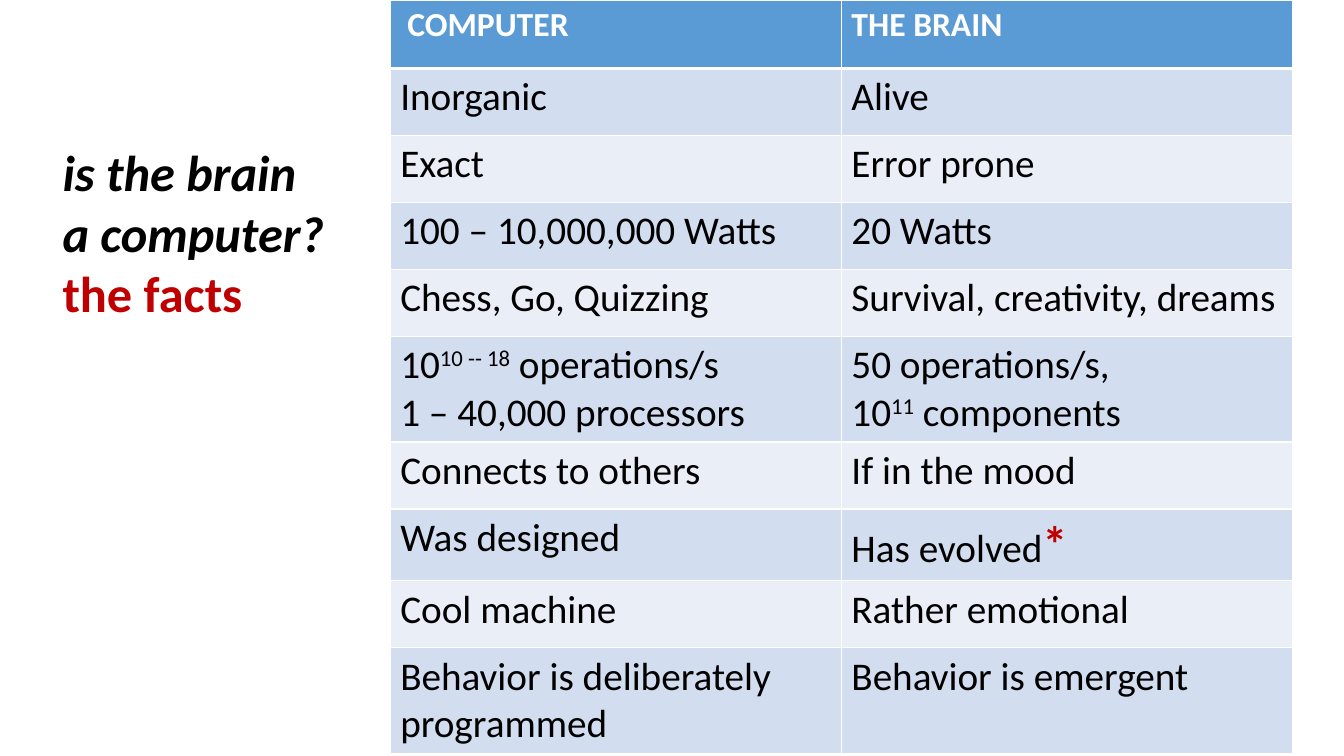
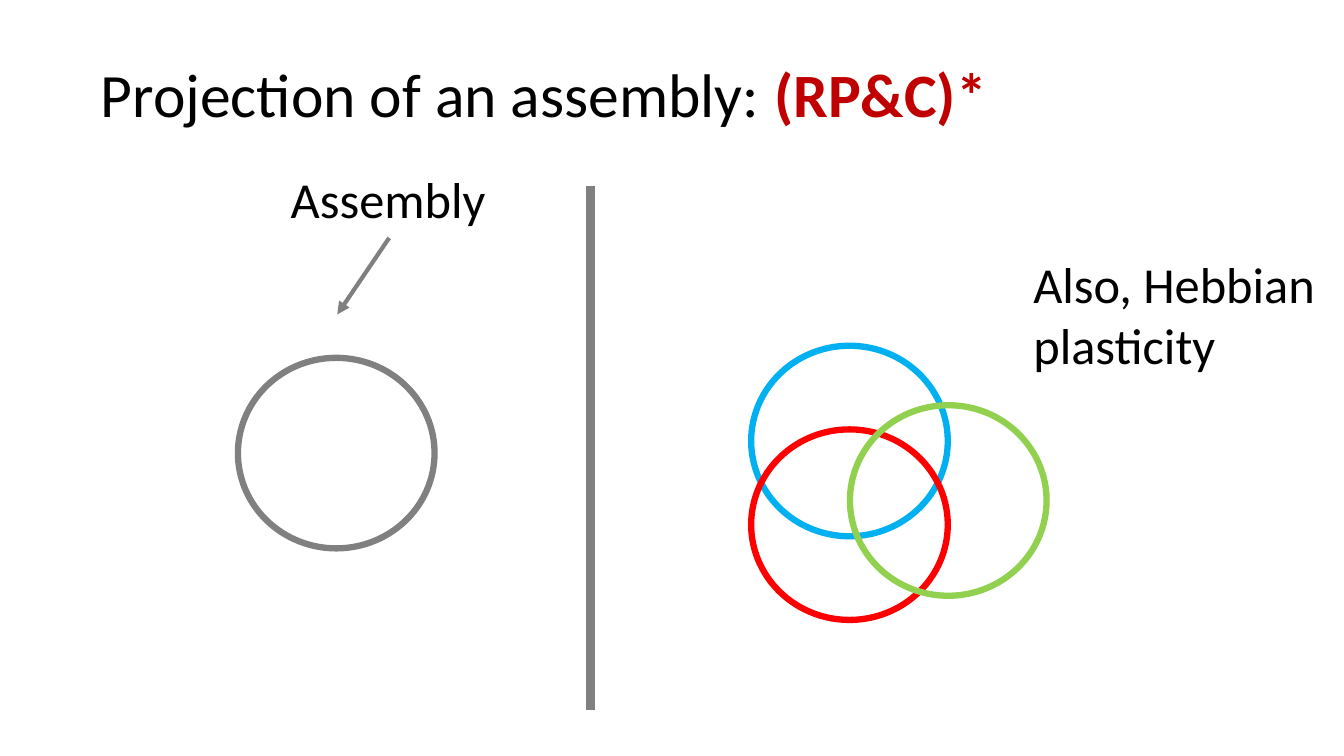
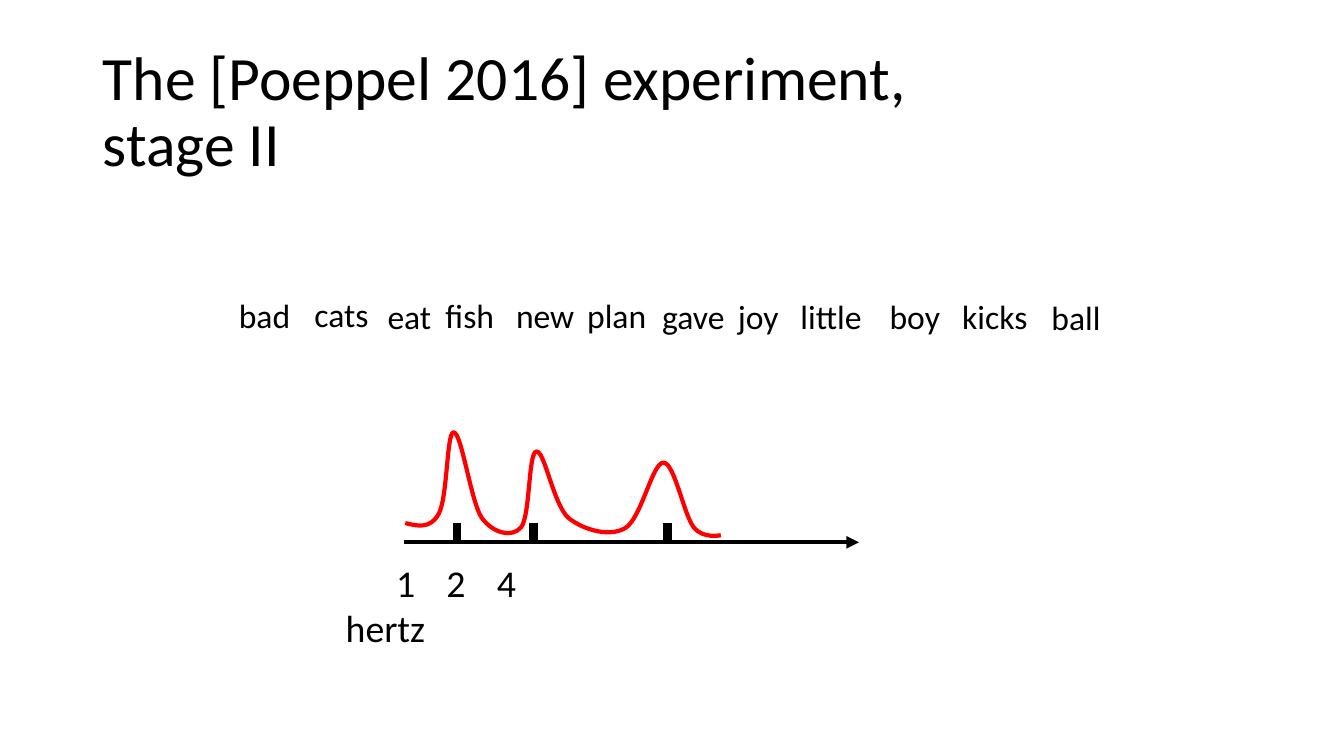
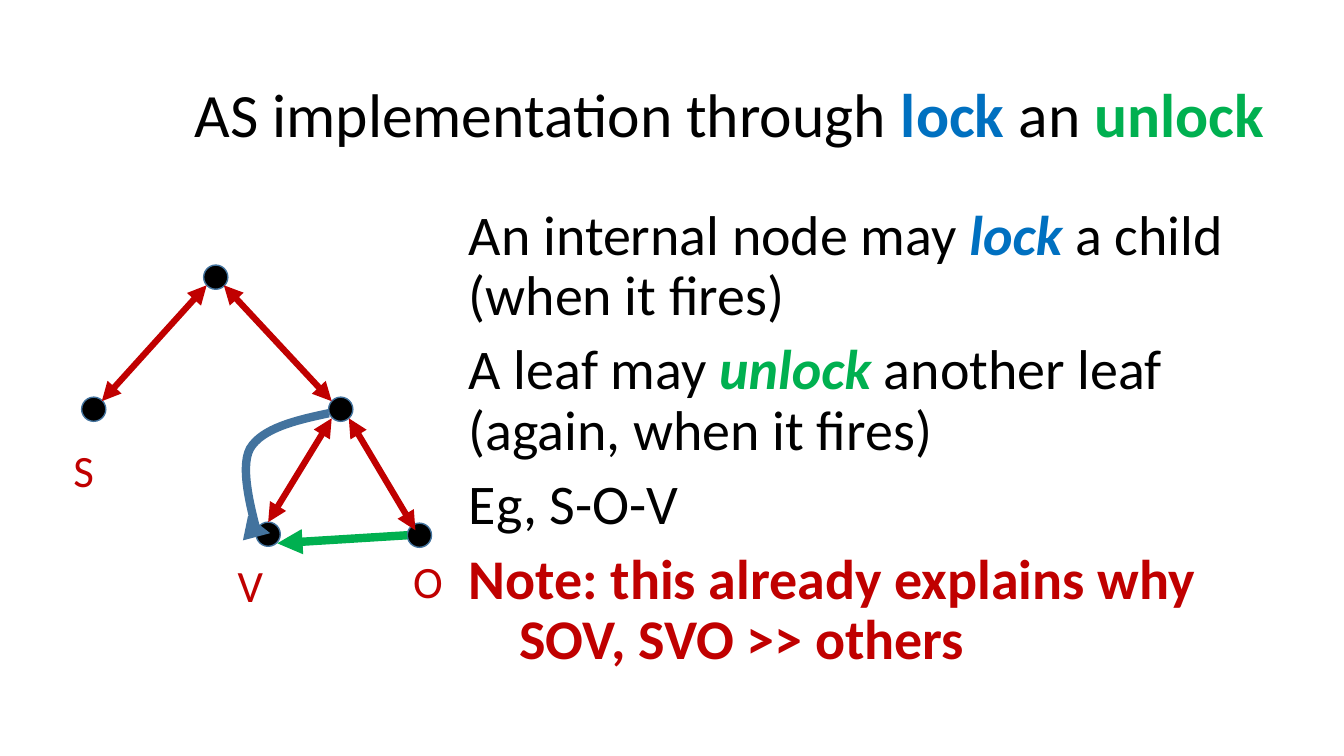
import itertools

import lxml.etree
import pptx
import pptx.dml.color
import pptx.enum.shapes
import pptx.enum.text
import pptx.oxml.ns
import pptx.util

deck = pptx.Presentation()
deck.slide_width = pptx.util.Inches(13.33)
deck.slide_height = pptx.util.Inches(7.5)

# Shared style: a square grid with 75 rows to the slide, one font, named colours
UNIT = deck.slide_height / 75
FONT = "Calibri"
BLACK, WHITE, GRAY = "000000", "FFFFFF", "808080"
CRIMSON, RED, BLUE, GREEN = "C00000", "FF0000", "0070C0", "00B050"
SKY, LIME, STEEL = "00B0F0", "92D050", "43739E"
HEADER, BANDS = "5B9BD5", ("EAEFF7", "D2DEEF")
rgb = pptx.dml.color.RGBColor.from_string
qn = pptx.oxml.ns.qn


def grid(*cells):
    """Turn grid columns and rows into slide lengths."""
    return [pptx.util.Emu(round(cell * UNIT)) for cell in cells]


def write(frame, paragraphs, size, color=BLACK, spacing=1.0, gap=0):
    """Fill a frame; a span is (text, colour, marks), marks being b, i or ^."""
    for index, spans in enumerate(paragraphs):
        para = frame.add_paragraph() if index else frame.paragraphs[0]
        if isinstance(spans, str):
            spans = [(spans, color, "")]
        para.text = spans[0][0]
        for text, _, _ in spans[1:]:
            para.add_run().text = text
        para.alignment = pptx.enum.text.PP_ALIGN.LEFT
        para.line_spacing = spacing
        para.space_before = pptx.util.Pt(gap if index else 0)
        for run, (_, tint, marks) in zip(para.runs, itertools.cycle(spans)):
            run.font.name = FONT
            run.font.size = pptx.util.Pt(36 if run.text == "*" else size)
            run.font.color.rgb = rgb(tint)
            run.font.bold = "b" in marks
            run.font.italic = "i" in marks
            if "^" in marks:
                run.font._element.set("baseline", "30000")


# Pages and titles: layout, box, size, line spacing, paragraphs
TITLE_AND_BODY, TITLE_ONLY = deck.slide_layouts[1], deck.slide_layouts[5]
titles = [
    (TITLE_ONLY, (5.2, 13.45, 30, 19.2), 36, 1.0, [
        [("is the brain", BLACK, "bi")],
        [("a computer?", BLACK, "bi")],
        [("the facts", CRIMSON, "b")]]),
    (TITLE_ONLY, (9, 2.4, 115, 14.5), 44, 0.9, [
        [("Projection of an assembly: ", BLACK, ""), ("(RP&C)*", CRIMSON, "b")]]),
    (TITLE_ONLY, (9.2, 4, 115, 14.5), 44, 0.9,
     ["The [Poeppel 2016] experiment, \vstage II"]),
    (TITLE_AND_BODY, (18.3, 4.4, 115, 14.5), 44, 0.9, [
        [("AS implementation through ", BLACK, ""), ("lock ", BLUE, "b"),
         ("an ", BLACK, ""), ("unlock", GREEN, "b")]]),
]
pages = []
for layout, box, size, spacing, paragraphs in titles:
    page = deck.slides.add_slide(layout)
    title = page.shapes.title
    title.left, title.top, title.width, title.height = grid(*box)
    title.text_frame.auto_size = pptx.enum.text.MSO_AUTO_SIZE.NONE
    title.text_frame.vertical_anchor = pptx.enum.text.MSO_ANCHOR.MIDDLE
    write(title.text_frame, paragraphs, size, spacing=spacing)
    pages.append(page)
facts, projection, experiment, tree = pages

# Comparison table
rows = [
    (["COMPUTER"], ["THE BRAIN"]),
    (["Inorganic"], ["Alive"]),
    (["Exact"], ["Error prone"]),
    (["100 – 10,000,000 Watts"], ["20 Watts"]),
    (["Chess, Go, Quizzing"], ["Survival, creativity, dreams"]),
    ([[("10", BLACK, ""), ("10 -- 18", BLACK, "^"), (" operations/s", BLACK, "")],
      "1 – 40,000 processors"],
     ["50 operations/s,",
      [("10", BLACK, ""), ("11", BLACK, "^"), (" components", BLACK, "")]]),
    (["Connects to others"], ["If in the mood"]),
    (["Was designed"], [[("Has evolved", BLACK, ""), ("*", CRIMSON, "b")]]),
    (["Cool machine"], ["Rather emotional"]),
    (["Behavior is deliberately programmed"], ["Behavior is emergent"]),
]
table = facts.shapes.add_table(len(rows), 2, *grid(38.7, 0, 89.5, 66.6)).table
for column in table.columns:
    column.width, = grid(44.75)
for index, row in enumerate(rows):
    table.rows[index].height, = grid(6.64 if index else 6.8)
    for cell, paragraphs in zip(table.rows[index].cells, row):
        if index:
            write(cell.text_frame, paragraphs, 28)
        else:
            write(cell.text_frame, [[(paragraphs[0], WHITE, "b")]], 24)
        properties = cell._tc.get_or_add_tcPr()
        for side in ("lnL", "lnR", "lnT", "lnB"):
            thick = (side, index) in (("lnB", 0), ("lnT", 1))
            border = lxml.etree.SubElement(
                properties, qn("a:" + side), w=str(pptx.util.Pt(3 if thick else 1)))
            paint = lxml.etree.SubElement(border, qn("a:solidFill"))
            lxml.etree.SubElement(paint, qn("a:srgbClr"), val=WHITE)
        cell.fill.solid()
        cell.fill.fore_color.rgb = rgb(BANDS[index % 2] if index else HEADER)
table.cell(0, 0).margin_left, = grid(1.7)

# Short labels: page, text, left, top, width, height, size, colour
labels = [
    (projection, ["Also, Hebbian", "plasticity"], 101.5, 24.65, 30.2, 13.1, 36, BLACK),
    (projection, ["Assembly"], 27.85, 16.2, 21.5, 7.1, 36, BLACK),
    (tree, ["S"], 6.3, 43.45, 4.1, 6.4, 32, CRIMSON),
    (tree, ["V"], 22.6, 54.8, 4.6, 6.4, 32, CRIMSON),
    (tree, ["O"], 40, 54.45, 5, 6.4, 32, CRIMSON),
]
words = [
    ("bad", 22.7, 28.8, 7.5), ("cats", 30.2, 28.7, 7.6), ("eat", 37.45, 28.85, 6.5),
    ("fish", 43.2, 28.8, 6.9), ("new", 50.2, 28.8, 8), ("plan", 57.25, 28.8, 7.9),
    ("gave", 64.7, 28.9, 8.6), ("joy", 72.2, 28.9, 6.1), ("little", 78.4, 28.9, 8.2),
    ("boy", 87.25, 28.9, 7.3), ("kicks", 94.45, 28.9, 8.8), ("ball", 103.3, 29, 7.1),
]
labels += [(experiment, [word], left, top, width, 5, 24, BLACK)
           for word, left, top, width in words]
for page, paragraphs, left, top, width, height, size, color in labels:
    label = page.shapes.add_textbox(*grid(left, top, width, height))
    label.text_frame.word_wrap = False
    write(label.text_frame, paragraphs, size, color)

# Wrapped texts, with tab stops for the last paragraph
rules = [
    [("An internal node may ", BLACK, ""), ("lock", BLUE, "bi"),
     (" a child (when it fires)", BLACK, "")],
    [("A leaf may ", BLACK, ""), ("unlock", GREEN, "bi"),
     (" another leaf (again, when it fires)", BLACK, "")],
    "Eg, S-O-V",
    [("Note: this already explains why\v\tSOV, SVO >> others", CRIMSON, "b")],
]
scale_text = experiment.shapes.add_textbox(0, 0, 0, 0)
rules_text = tree.placeholders[1]
texts = [
    (scale_text, (33.3, 55, 38.8, 10.1), ["\t1\t2\t4\vhertz"], 27, 1.0, 0,
     (6.05, 13.8, 26.7)),
    (rules_text, (45.5, 20, 78.7, 47.6), rules, 40, 0.9, 10, (15.05,)),
]
for body, box, paragraphs, size, spacing, gap, stops in texts:
    body.left, body.top, body.width, body.height = grid(*box)
    body.text_frame.word_wrap = True
    body.text_frame.auto_size = pptx.enum.text.MSO_AUTO_SIZE.NONE
    write(body.text_frame, paragraphs, size, spacing=spacing, gap=gap)
    for para in body.text_frame.paragraphs:
        properties = para._p.get_or_add_pPr()
        properties.set("marL", "0")
        properties.set("indent", "0")
        lxml.etree.SubElement(properties, qn("a:buNone"))
    tabs = lxml.etree.SubElement(properties, qn("a:tabLst"))
    for stop in grid(*stops):
        lxml.etree.SubElement(tabs, qn("a:tab"), pos=str(stop), algn="l")

# Assemblies and tree nodes: page, left, top, width, height, fill, line, weight
ovals = [(projection, left, top, 19.5, 18.9, None, color, 4.5)
         for left, top, color in ((23.6, 35.5, GRAY), (74.5, 34.3, SKY),
                                  (74.5, 42.6, RED), (84.3, 40.2, LIME))]
ovals += [(tree, left, top, 2.4, 2.4, BLACK, STEEL, 1)
          for left, top in ((20.2, 26.3), (32.6, 39.4), (40.4, 51.9),
                            (25.4, 51.8), (8.1, 39.4))]
for page, left, top, width, height, fill, color, weight in ovals:
    oval = page.shapes.add_shape(pptx.enum.shapes.MSO_SHAPE.OVAL,
                                 *grid(left, top, width, height))
    oval.shadow.inherit = False
    if fill:
        oval.fill.solid()
        oval.fill.fore_color.rgb = rgb(fill)
    else:
        oval.fill.background()
    oval.line.color.rgb = rgb(color)
    oval.line.width = pptx.util.Pt(weight)

# Curves: page, colour, weight, arrowed, start, then three points a Bezier segment
curves = [
    (experiment, RED, 3, False, (40.2, 51.9), [
        (41.4, 52.2), (42.7, 52.5), (43.5, 51), (44.4, 49.5), (44.3, 42.8), (45, 42.9),
        (45.8, 42.9), (46.7, 49.8), (47.8, 51.4), (48.9, 52.9), (50.8, 53.4),
        (51.7, 52.3), (52.6, 51.1), (52.4, 44.9), (53.2, 44.8), (54, 44.6),
        (54.9, 50.1), (56.4, 51.4), (57.9, 52.6), (60.5, 53.3), (62, 52.4),
        (63.6, 51.5), (64.7, 45.9), (65.8, 45.9), (66.9, 45.9), (67.8, 51),
        (68.8, 52.3), (69.7, 53.5), (71.5, 53.1), (71.5, 53.1)]),
    (tree, STEEL, 6, True, (32.6, 41), [
        (29.3, 41.7), (26, 42.5), (24.8, 44.5), (23.7, 46.5), (25.2, 51.5),
        (25.5, 52.9), (25.8, 54.3), (26.3, 53.6), (26.8, 52.9)]),
]
for page, color, weight, arrowed, start, points in curves:
    outline = page.shapes.build_freeform(*grid(*start))
    outline.add_line_segments([grid(*point) for point in points], close=False)
    curve = outline.convert_to_shape()
    curve.shadow.inherit = False
    curve.fill.background()
    curve.line.color.rgb = rgb(color)
    curve.line.width = pptx.util.Pt(weight)
    # Join every three straight steps into one cubic segment
    steps = list(curve._element.iter(qn("a:lnTo")))
    for first in range(0, len(steps), 3):
        segment = lxml.etree.SubElement(steps[first].getparent(), qn("a:cubicBezTo"))
        for step in steps[first:first + 3]:
            segment.append(step[0])
            step.getparent().remove(step)
    if arrowed:
        lxml.etree.SubElement(curve.line._get_or_add_ln(), qn("a:tailEnd"),
                              type="triangle")

# Straight lines: page, from, to, colour, weight, arrowheads
lines = [
    (projection, (58.55, 18.5), (58.55, 70.45), GRAY, 6, ()),
    (projection, (38.6, 23.6), (33.45, 31.2), GRAY, 3, ("tailEnd",)),
    (experiment, (40.05, 53.8), (85.2, 53.8), BLACK, 3, ("tailEnd",)),
]
lines += [(experiment, (x, 51.9), (x, 53.8), BLACK, 6, ()) for x in (45.3, 52.9, 66.2)]
lines += [(tree, start, end, CRIMSON, 4.5, ("headEnd", "tailEnd"))
          for start, end in (((22.2, 28.3), (32.9, 39.8)), ((20.5, 28.3), (10.1, 39.8)),
                             ((34.6, 41.5), (41.2, 52.6)), ((32.9, 41.5), (26.6, 51.8)))]
lines.append((tree, (40.4, 53.1), (27.5, 53.9), GREEN, 6, ("tailEnd",)))
for page, start, end, color, weight, heads in lines:
    line = page.shapes.add_connector(pptx.enum.shapes.MSO_CONNECTOR.STRAIGHT,
                                     *grid(*start, *end))
    line.line.color.rgb = rgb(color)
    line.line.width = pptx.util.Pt(weight)
    for head in heads:
        lxml.etree.SubElement(line.line._get_or_add_ln(), qn("a:" + head),
                              type="triangle")
    lxml.etree.SubElement(line._element.spPr, qn("a:effectLst"))

deck.save("out.pptx")
